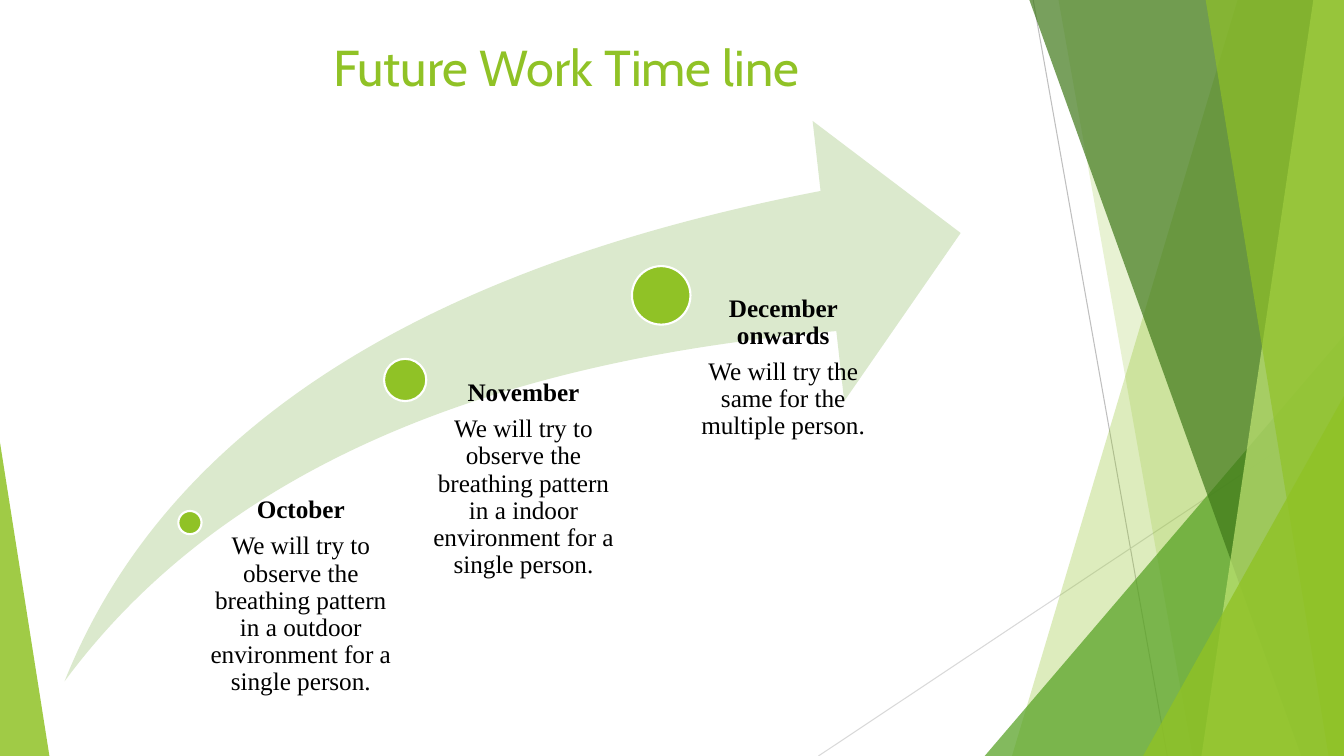
from lxml.etree import SubElement
from pptx import Presentation
from pptx.dml.color import RGBColor
from pptx.enum.shapes import MSO_CONNECTOR, MSO_SHAPE as Preset
from pptx.enum.text import MSO_ANCHOR, PP_ALIGN
from pptx.oxml.ns import qn
from pptx.util import Pt

WIDTH, HEIGHT = 960, 540
GREEN = "90C226"

# Slanted bands: top-left x, bottom-left x, colour, opacity in percent
BACK_BANDS = [(884.2, 722.9, GREEN, 30), (756, 851.8, GREEN, 20)]
FRONT_BANDS = [
    (735.1, 929.5, "3F7819", 70),
    (938.2, 858.2, "C0E474", 70),
    (861.1, 949, GREEN, 65),
]

# Steps: dot (left, top, size), text box, left inset, month, plan
STEPS = [
    ((127.4, 365, 16.6), (137.5, 355, 146.2, 153.4), 8.6, "October",
     "We will try to observe the breathing pattern in a outdoor environment for a single person."),
    ((274.3, 256.3, 30.2), (289.4, 271.4, 153.4, 217.4), 15.8, "November",
     "We will try to observe the breathing pattern in a indoor environment for a single person."),
    ((451.4, 190.1, 41.8), (471.6, 211, 153.4, 277.9), 22.3, "December onwards",
     "We will try the same for the multiple person."),
]


def color(hex_code):
    return RGBColor.from_string(hex_code)


def points(values):
    return [Pt(value) for value in values]


def paint(shape, hex_code, opacity=100):
    shape.shadow.inherit = False
    shape.fill.solid()
    shape.fill.fore_color.rgb = color(hex_code)
    shape.line.fill.background()
    if opacity < 100:
        fill = shape.fill._xPr.find(qn("a:solidFill"))
        SubElement(fill[0], qn("a:alpha"), val=str(opacity * 1000))


def add_line(slide, ends, hex_code):
    line = slide.shapes.add_connector(MSO_CONNECTOR.STRAIGHT, *points(ends))
    line.line.color.rgb = color(hex_code)
    line.line.width = Pt(0.75)
    SubElement(line._element.spPr, qn("a:effectLst"))


def add_band(slide, top_x, bottom_x, hex_code, opacity):
    top = -0.6
    builder = slide.shapes.build_freeform(Pt(top_x), Pt(top))
    corners = [(WIDTH, top), (WIDTH, HEIGHT), (bottom_x, HEIGHT)]
    builder.add_line_segments([points(corner) for corner in corners], close=True)
    paint(builder.convert_to_shape(), hex_code, opacity)


def add_preset(slide, preset, box, hex_code, opacity=100, adjustments=()):
    shape = slide.shapes.add_shape(preset, *points(box))
    for index, value in enumerate(adjustments):
        shape.adjustments[index] = value
    paint(shape, hex_code, opacity)
    return shape


def add_dot(slide, left, top, size):
    dot = add_preset(slide, Preset.OVAL, (left, top, size, size), GREEN)
    dot.line.color.rgb = color("FFFFFF")
    dot.line.width = Pt(1.5)


def add_text(slide, box, margins, lines, font_name, size, hex_code):
    """Add centred paragraphs, given as (text, bold) pairs."""
    frame = slide.shapes.add_textbox(*points(box)).text_frame
    frame.word_wrap = True
    frame.vertical_anchor = MSO_ANCHOR.TOP
    (frame.margin_left, frame.margin_top,
     frame.margin_right, frame.margin_bottom) = points(margins)
    for index, (text, bold) in enumerate(lines):
        paragraph = frame.add_paragraph() if index else frame.paragraphs[0]
        paragraph.text = text
        paragraph.alignment = PP_ALIGN.CENTER
        font = paragraph.font
        font.name, font.size, font.bold = font_name, Pt(size), bold
        font.color.rgb = color(hex_code)
    return frame


def add_step(slide, dot, box, inset, month, plan):
    add_dot(slide, *dot)
    frame = add_text(slide, box, (inset, 0, 0, 0), [(month, True), (plan, False)],
                     "Times New Roman", 18, "000000")
    for paragraph in frame.paragraphs:
        paragraph.line_spacing = 0.9
        paragraph.space_after = Pt(6.3)


def add_backdrop(slide):
    add_line(slide, (738, 0, 833.8, HEIGHT), "BFBFBF")
    add_line(slide, (WIDTH, 290.2, 584.6, HEIGHT), "D9D9D9")
    for band in BACK_BANDS:
        add_band(slide, *band)
    add_preset(slide, Preset.ISOSCELES_TRIANGLE, (703.4, 239.8, 256.6, 300.2), "54A021", 72, [1])
    for band in FRONT_BANDS:
        add_band(slide, *band)
    add_preset(slide, Preset.ISOSCELES_TRIANGLE, (816.5, 283, 143.5, 257), GREEN, 80, [1])
    add_preset(slide, Preset.ISOSCELES_TRIANGLE, (0, 316.1, 35.3, 223.9), GREEN, 85, [0])


def main():
    presentation = Presentation()
    presentation.slide_width, presentation.slide_height = Pt(WIDTH), Pt(HEIGHT)
    slide = presentation.slides.add_slide(presentation.slide_layouts[6])

    # Green facets at both edges
    add_backdrop(slide)

    # Title
    add_text(slide, (66.2, 22.3, 676.8, 67), (7.2, 3.6, 7.2, 3.6),
             [("Future Work Time line", False)], "Cabin", 36, GREEN)

    # Timeline arrow and its steps
    add_preset(slide, Preset.SWOOSH_ARROW, (46.1, 86.4, 640.1, 400.3), "DBE9CD",
               adjustments=[0.25, 0.25])
    for step in STEPS:
        add_step(slide, *step)

    presentation.save("out.pptx")


if __name__ == "__main__":
    main()
